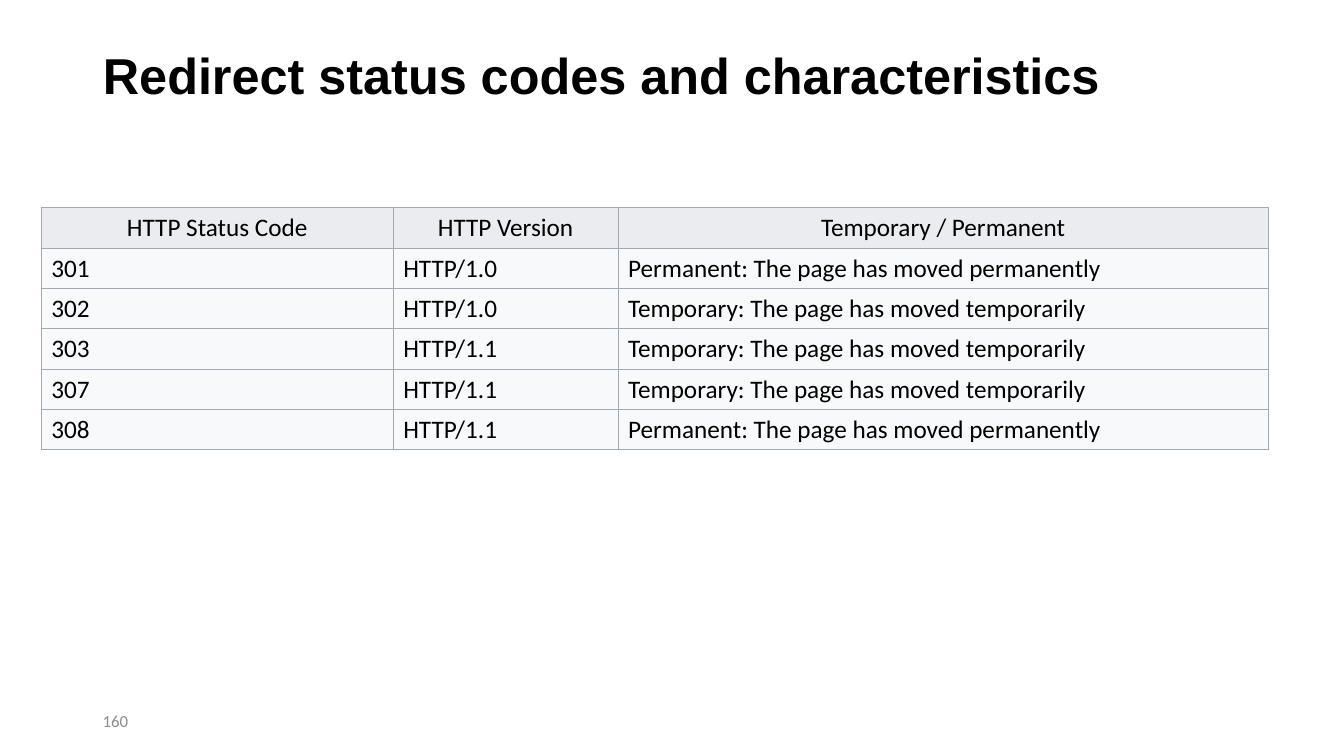
from lxml import etree
from pptx import Presentation
from pptx.dml.color import RGBColor
from pptx.enum.text import MSO_ANCHOR, PP_ALIGN
from pptx.oxml.ns import qn
from pptx.util import Inches, Pt

# Content
TITLE = "Redirect status codes and characteristics"
PAGE_NUMBER = "160"
PERMANENT = "Permanent: The page has moved permanently"
TEMPORARY = "Temporary: The page has moved temporarily"
ROWS = [
    ("HTTP Status Code", "HTTP Version", "Temporary / Permanent"),
    ("301", "HTTP/1.0", PERMANENT),
    ("302", "HTTP/1.0", TEMPORARY),
    ("303", "HTTP/1.1", TEMPORARY),
    ("307", "HTTP/1.1", TEMPORARY),
    ("308", "HTTP/1.1", PERMANENT),
]

# Layout in inches
SLIDE_WIDTH, SLIDE_HEIGHT = 13.33, 7.5
MARGIN = 0.92
TABLE_LEFT, TABLE_TOP = 0.41, 2.06
COLUMN_WIDTHS = (3.49, 2.23, 6.45)
ROW_HEIGHT = 0.4

# Style
BLACK = RGBColor(0x00, 0x00, 0x00)
GRAY = RGBColor(0x8C, 0x8C, 0x8C)
HEADER_FILL = RGBColor(0xEA, 0xEC, 0xF0)
BODY_FILL = RGBColor(0xF8, 0xF9, 0xFA)
BORDER = RGBColor(0xA2, 0xA9, 0xB1)
BORDER_WIDTH = Pt(0.6)
LEFT, CENTER = PP_ALIGN.LEFT, PP_ALIGN.CENTER
MIDDLE = MSO_ANCHOR.MIDDLE


def write(paragraph, text, size, font_name, color, bold=False, alignment=LEFT):
    paragraph.alignment = alignment
    run = paragraph.add_run()
    run.text = text
    run.font.size = Pt(size)
    run.font.name = font_name
    run.font.color.rgb = color
    run.font.bold = bold


def add_borders(cell):
    properties = cell._tc.get_or_add_tcPr()
    for position, side in enumerate(("a:lnL", "a:lnR", "a:lnT", "a:lnB")):
        line = etree.Element(qn(side), w=str(int(BORDER_WIDTH)))
        fill = etree.SubElement(line, qn("a:solidFill"))
        etree.SubElement(fill, qn("a:srgbClr"), val=str(BORDER))
        properties.insert(position, line)


presentation = Presentation()
presentation.slide_width = Inches(SLIDE_WIDTH)
presentation.slide_height = Inches(SLIDE_HEIGHT)
slide = presentation.slides.add_slide(presentation.slide_layouts.get_by_name("Title Only"))

# Title
title = slide.shapes.title
title.left, title.top = Inches(MARGIN), Inches(0.4)
title.width, title.height = Inches(11.5), Inches(0.75)
title.text_frame.vertical_anchor = MIDDLE
heading = title.text_frame.paragraphs[0]
heading.line_spacing = 0.9
write(heading, TITLE, 36, "Arial", BLACK, bold=True)

# Page number
page_box = slide.shapes.add_textbox(Inches(MARGIN), Inches(6.95), Inches(3), Inches(0.4))
page_box.text_frame.word_wrap = True
page_box.text_frame.vertical_anchor = MIDDLE
write(page_box.text_frame.paragraphs[0], PAGE_NUMBER, 12, "Calibri", GRAY)

# Status code table
table = slide.shapes.add_table(
    len(ROWS), len(COLUMN_WIDTHS), Inches(TABLE_LEFT), Inches(TABLE_TOP),
    Inches(sum(COLUMN_WIDTHS)), Inches(ROW_HEIGHT * len(ROWS))).table
table.horz_banding = False
for column, width in zip(table.columns, COLUMN_WIDTHS):
    column.width = Inches(width)

for row_index, values in enumerate(ROWS):
    is_header = row_index == 0
    for column_index, value in enumerate(values):
        cell = table.cell(row_index, column_index)
        cell.vertical_anchor = MIDDLE
        cell.fill.solid()
        cell.fill.fore_color.rgb = HEADER_FILL if is_header else BODY_FILL
        add_borders(cell)
        write(cell.text_frame.paragraphs[0], value, 18, "Calibri", BLACK,
              alignment=CENTER if is_header else LEFT)

presentation.save("out.pptx")
